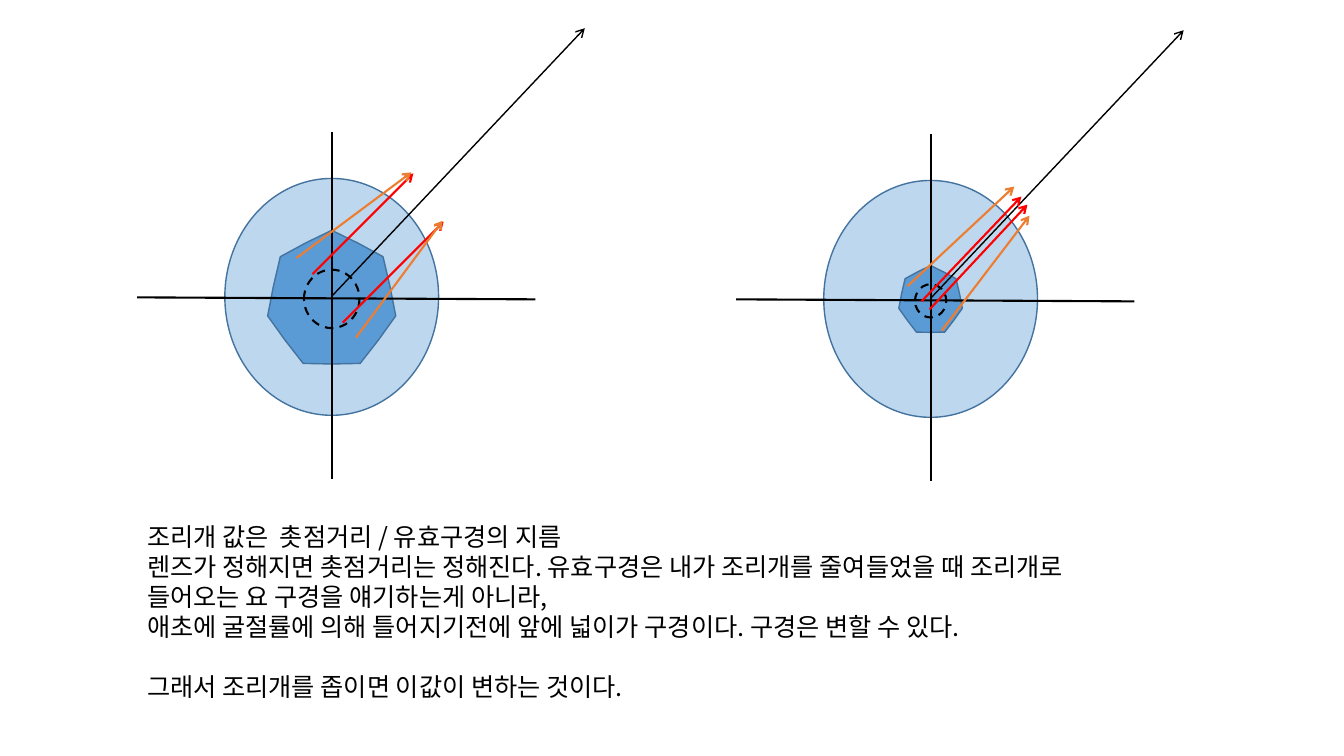
from lxml import etree
from pptx import Presentation
from pptx import util as u
from pptx.dml.color import RGBColor
from pptx.enum import dml, shapes, text
from pptx.oxml.ns import qn

PX = 9144  # 100 px to the inch
BLACK = RGBColor(0x00, 0x00, 0x00)
RED = RGBColor(0xFF, 0x00, 0x00)
ORANGE = RGBColor(0xED, 0x7D, 0x31)
PALE_BLUE = RGBColor(0xBD, 0xD7, 0xEE)
BLUE = RGBColor(0x5B, 0x9B, 0xD5)
OUTLINE = RGBColor(0x43, 0x73, 0x9E)
FONT = "Noto Sans CJK KR"
LINE_PITCH = u.Pt(21.5)

LENS_SIZE = (212, 235)

# Light rays, measured from the top left of the lens: start, end, colour
WIDE_RAYS = [
    ((87, 95), (187, -5), RED),
    ((71, 79), (185, -6), ORANGE),
    ((117, 143), (217, 43), RED),
    ((130, 158), (216, 42), ORANGE),
]
NARROW_RAYS = [
    ((97, 120), (196, 16), RED),
    ((105, 128), (202, 24), RED),
    ((83, 105), (189, 6), ORANGE),
    ((117, 149), (204, 35), ORANGE),
]

# Caption paragraphs: text, space before
CAPTION = [
    ("조리개 값은  촛점거리 / 유효구경의 지름", 0),
    ("렌즈가 정해지면 촛점거리는 정해진다. 유효구경은 내가 조리개를 줄여들었을 때 조리개로", 0),
    ("들어오는 요 구경을 얘기하는게 아니라,", 0),
    ("애초에 굴절률에 의해 틀어지기전에 앞에 넓이가 구경이다. 구경은 변할 수 있다.", 0),
    ("그래서 조리개를 좁이면 이값이 변하는 것이다.", LINE_PITCH),
]


def add_centred(slide, kind, centre, size, fill, line, width):
    """Place a shape of the given size around a centre point."""
    left, top = (c - s / 2 for c, s in zip(centre, size))
    box = [round(v * PX) for v in (left, top, *size)]
    shape = slide.shapes.add_shape(kind, *box)
    shape.shadow.inherit = False
    if fill is None:
        shape.fill.background()
    else:
        shape.fill.solid()
        shape.fill.fore_color.rgb = fill
    shape.line.color.rgb = line
    shape.line.width = u.Pt(width)
    return shape


def add_line(slide, origin, start, end, color=BLACK, width=1.5, arrow=False):
    """Draw a line between two points measured from the origin."""
    points = [(o + p) * PX for point in (start, end) for o, p in zip(origin, point)]
    line = slide.shapes.add_connector(shapes.MSO_CONNECTOR.STRAIGHT, *points)
    line.line.color.rgb = color
    line.line.width = u.Pt(width)
    properties = line._element.spPr
    if arrow:
        etree.SubElement(properties.find(qn("a:ln")), qn("a:tailEnd"), type="arrow")
    etree.SubElement(properties, qn("a:effectLst"))


def add_lens(slide, left, top, blade_size, opening_size, rays):
    origin = (left, top)
    width, height = LENS_SIZE
    centre = (left + width / 2, top + height / 2)

    # Lens and aperture blades
    ellipse = shapes.MSO_SHAPE.OVAL
    add_centred(slide, ellipse, centre, LENS_SIZE, PALE_BLUE, OUTLINE, 1)
    blades = add_centred(slide, shapes.MSO_SHAPE.STAR_7_POINT, centre,
                         blade_size, BLUE, OUTLINE, 1)
    blades.adjustments[0] = 0.455

    # Axes and the central ray
    add_line(slide, origin, (106, 298), (106, -46))
    add_line(slide, origin, (-87, 118), (308, 120))
    add_line(slide, origin, (106, 117), (357, -149), width=1, arrow=True)

    # Effective opening and the light rays
    opening_centre = (centre[0], centre[1] + 2)
    opening = add_centred(slide, ellipse, opening_centre, opening_size, None, BLACK, 1.5)
    opening.line.dash_style = dml.MSO_LINE.DASH
    for start, end, color in rays:
        add_line(slide, origin, start, end, color, arrow=True)


def add_caption(slide, left, top, width, height):
    box = slide.shapes.add_textbox(left * PX, top * PX, width * PX, height * PX)
    frame = box.text_frame
    frame.word_wrap = True
    frame.auto_size = text.MSO_AUTO_SIZE.NONE
    for index, (words, gap) in enumerate(CAPTION):
        paragraph = frame.add_paragraph() if index else frame.paragraphs[0]
        paragraph.line_spacing = LINE_PITCH
        paragraph.space_before = gap
        run = paragraph.add_run()
        run.text = words
        run.font.size = u.Pt(18)
        run.font.color.rgb = BLACK
        run.font.name = FONT
        # Korean letters take the East Asian font
        etree.SubElement(run.font._element, qn("a:ea"), typeface=FONT)


def main():
    presentation = Presentation()
    presentation.slide_width = 1333 * PX
    presentation.slide_height = 750 * PX
    slide = presentation.slides.add_slide(presentation.slide_layouts[6])

    add_lens(slide, 223, 177, (127, 132), (55, 58), WIDE_RAYS)
    add_lens(slide, 817, 179, (63, 66), (31, 33), NARROW_RAYS)
    add_caption(slide, 136, 512, 1049, 192)

    presentation.save("out.pptx")


if __name__ == "__main__":
    main()
